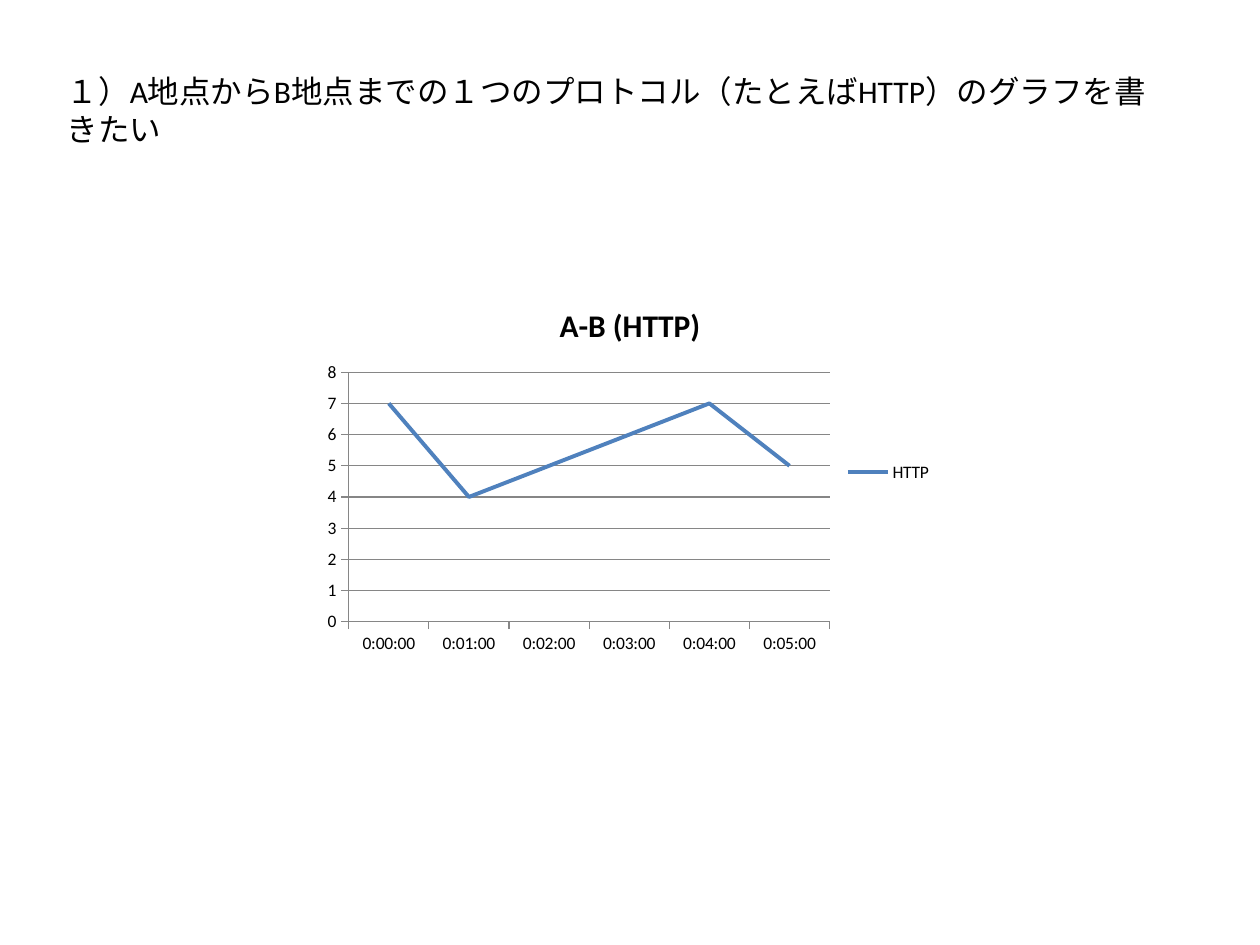
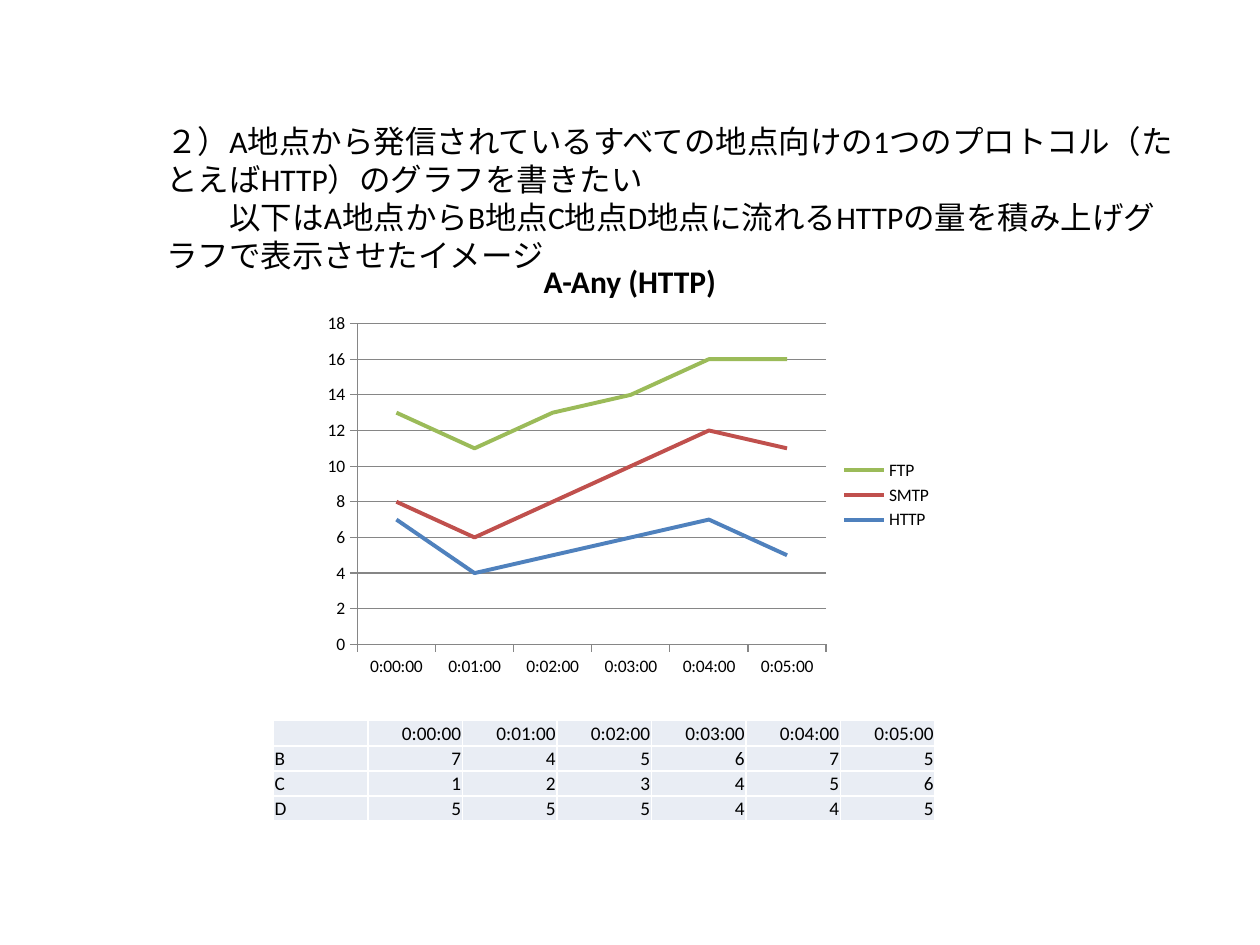
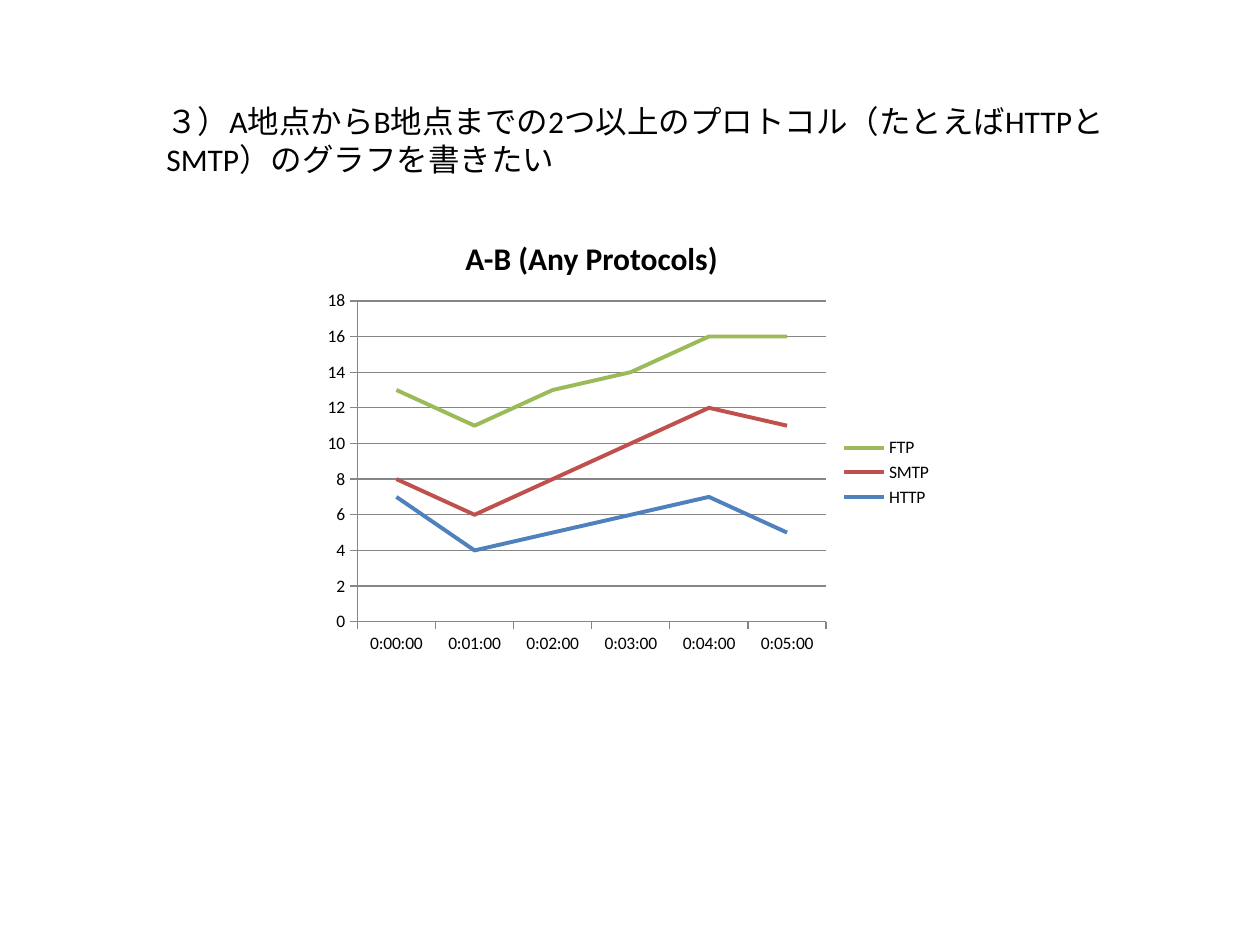
import pptx
import pptx.chart.data
import pptx.dml.color
import pptx.enum.chart
import pptx.enum.lang
import pptx.enum.text
import pptx.util

Inches = pptx.util.Inches
Pt = pptx.util.Pt
KIND = pptx.enum.chart.XL_CHART_TYPE
ALIGN = pptx.enum.text.PP_ALIGN
ANCHOR = pptx.enum.text.MSO_ANCHOR
FIT = pptx.enum.text.MSO_AUTO_SIZE

HUES = {"text": "000000", "grid": "868686", "cell": "E9EDF4",
        "HTTP": "4F81BD", "SMTP": "C0504D", "FTP": "9BBB59"}
FONT = "Calibri"
HEAD = {"name": FONT, "size": Pt(18), "bold": False,
        "language_id": pptx.enum.lang.MSO_LANGUAGE_ID.JAPANESE}
NAME = {"name": FONT, "size": Pt(18), "bold": True}
AXIS = {"name": FONT, "size": Pt(10), "bold": False}
CELL = {"name": FONT, "size": Pt(11), "bold": False}
FRAME = {"word_wrap": True, "auto_size": FIT.NONE, "vertical_anchor": ANCHOR.TOP}
LABEL = {"word_wrap": False, "auto_size": FIT.SHAPE_TO_FIT_TEXT}
INSET = {"margin_left": Inches(0.01), "margin_right": Inches(0.01),
         "margin_top": Inches(0.01), "margin_bottom": 0,
         "vertical_anchor": ANCHOR.MIDDLE}

TIMES = [f"0:{minute:02}:00" for minute in range(6)]
FLOWS = [[7, 4, 5, 6, 7, 5], [1, 2, 3, 4, 5, 6], [5, 5, 5, 4, 4, 5]]
PROTOS = ["HTTP", "SMTP", "FTP"]
SITES = ["B", "C", "D"]


def apply(item, form):
    for key, value in form.items():
        setattr(item, key, value)


def color(key):
    return pptx.dml.color.RGBColor.from_string(HUES[key])


def style(font, form):
    apply(font, form)
    font.color.rgb = color("text")


def stroke(line, key, width):
    line.color.rgb = color(key)
    line.width = Pt(width)


def write(para, text, form, align):
    para.alignment = align
    run = para.add_run()
    run.text = text
    style(run.font, form)


def add_head(deck, box, *lines):
    slide = deck.slides.add_slide(deck.slide_layouts[5])
    title = slide.shapes.title
    apply(title, dict(zip(("left", "top", "width", "height"), map(Inches, box))))
    frame = title.text_frame
    apply(frame, FRAME)
    for index, line in enumerate(lines):
        para = frame.add_paragraph() if index else frame.paragraphs[0]
        write(para, line, HEAD, ALIGN.LEFT)
        if index:
            para._p.get_or_add_pPr().set("indent", str(Inches(0.5)))
    return slide


def add_name(slide, text, left, top, width):
    box = slide.shapes.add_textbox(*map(Inches, (left, top, width, 0.4)))
    apply(box.text_frame, LABEL)
    write(box.text_frame.paragraphs[0], text, NAME, ALIGN.CENTER)


def add_graph(slide, top, kind, count, title=None):
    data = pptx.chart.data.CategoryChartData()
    data.categories = TIMES
    for proto, flow in zip(PROTOS[:count], FLOWS):
        data.add_series(proto, flow)
    chart = slide.shapes.add_chart(kind, *map(Inches, (2.5, top, 5, 3)), data).chart
    style(chart.font, AXIS)
    chart.has_title = title is not None
    if title:
        write(chart.chart_title.text_frame.paragraphs[0], title, NAME, ALIGN.CENTER)
    chart.has_legend = True
    apply(chart.legend, {"position": pptx.enum.chart.XL_LEGEND_POSITION.RIGHT,
                         "include_in_layout": False})
    for axis in (chart.category_axis, chart.value_axis):
        axis.major_tick_mark = pptx.enum.chart.XL_TICK_MARK.OUTSIDE
        axis.minor_tick_mark = pptx.enum.chart.XL_TICK_MARK.NONE
        stroke(axis.format.line, "grid", 0.75)
    chart.value_axis.has_major_gridlines = True
    stroke(chart.value_axis.major_gridlines.format.line, "grid", 0.75)
    chart.plots[0].vary_by_categories = False
    for series in chart.plots[0].series:
        series.smooth = False
        stroke(series.format.line, series.name, 2.25)


def add_grid(slide):
    rows = [["", *TIMES]] + [[site, *flow] for site, flow in zip(SITES, FLOWS)]
    box = map(Inches, (2.17, 5.72, 5.25, 0.78))
    table = slide.shapes.add_table(len(rows), len(rows[0]), *box).table
    apply(table, {"first_row": False, "horz_banding": False})
    for y, row in enumerate(rows):
        for x, value in enumerate(row):
            cell = table.cell(y, x)
            apply(cell, INSET)
            cell.fill.solid()
            cell.fill.fore_color.rgb = color("cell")
            para = cell.text_frame.paragraphs[0]
            if value == "":
                para._p.get_or_add_endParaRPr().set("sz", "1100")
            else:
                write(para, str(value), CELL, ALIGN.RIGHT if x else ALIGN.LEFT)


def main():
    deck = pptx.Presentation()
    deck.slide_width, deck.slide_height = Inches(10), Inches(7.5)

    slide = add_head(
        deck, (0.43, 0.52, 8.82, 0.71),
        "１）A地点からB地点までの１つのプロトコル（たとえばHTTP）のグラフを書きたい")
    add_graph(slide, 2.25, KIND.LINE, 1, "A-B (HTTP)")

    slide = add_head(
        deck, (1.22, 0.92, 8.19, 1.31),
        "２）A地点から発信されているすべての地点向けの1つのプロトコル（たとえばHTTP）のグラフを書きたい",
        "以下はA地点からB地点C地点D地点に流れるHTTPの量を積み上げグラフで表示させたイメージ")
    add_graph(slide, 2.43, KIND.LINE_STACKED, 3)
    add_grid(slide)
    add_name(slide, "A-Any (HTTP)", 4.2, 2.03, 1.6)

    slide = add_head(
        deck, (1.22, 0.76, 7.72, 0.71),
        "３）A地点からB地点までの2つ以上のプロトコル（たとえばHTTPとSMTP）のグラフを書きたい")
    add_graph(slide, 2.25, KIND.LINE_STACKED, 3)
    add_name(slide, "A-B (Any Protocols)", 3.58, 1.85, 2.23)

    deck.save("out.pptx")


if __name__ == "__main__":
    main()
